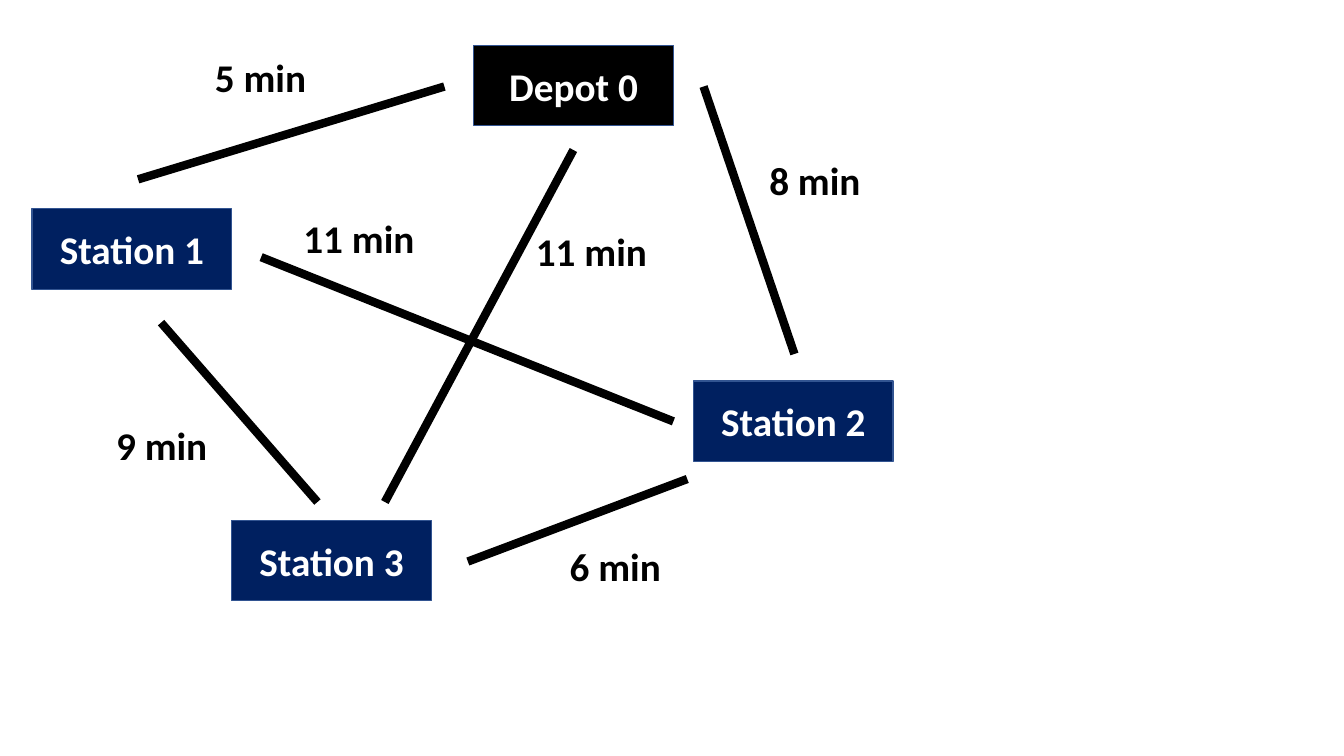
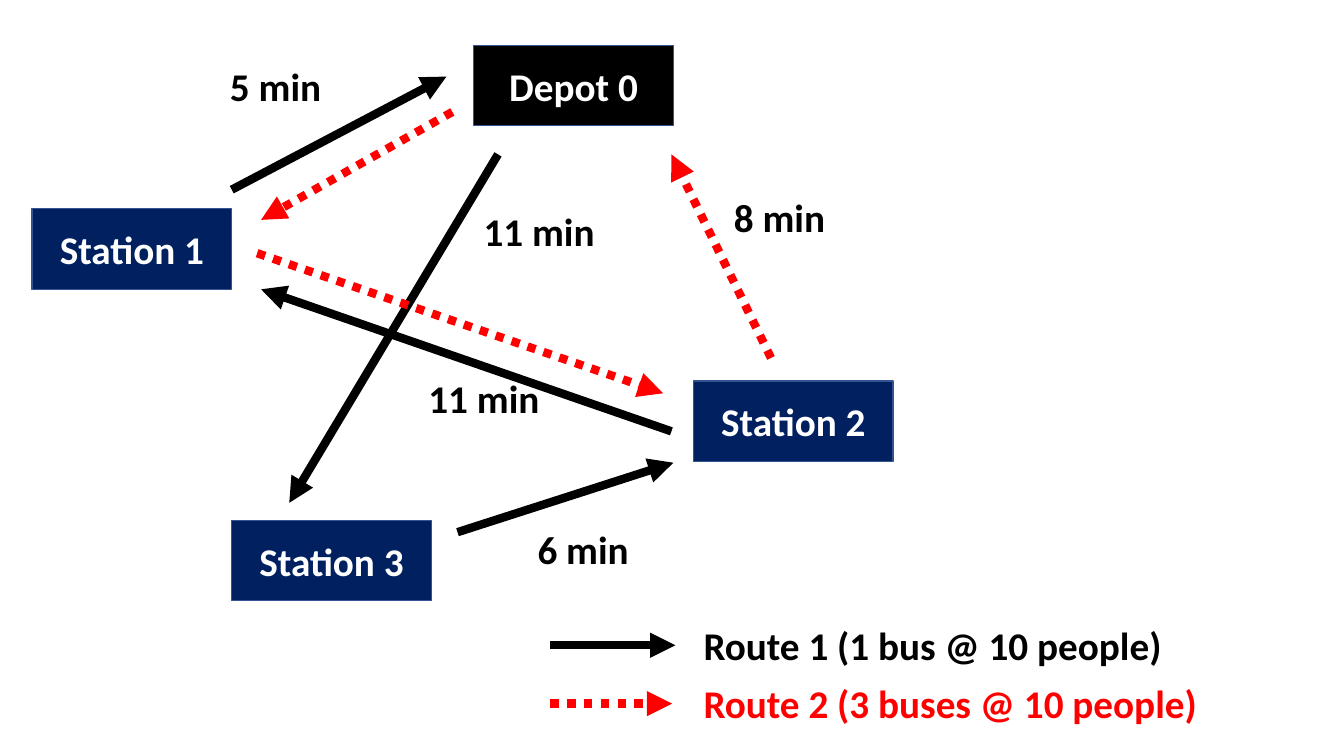
from lxml.etree import SubElement
from pptx import Presentation
from pptx.dml.color import RGBColor
from pptx.enum.dml import MSO_LINE
from pptx.enum.shapes import MSO_CONNECTOR, MSO_SHAPE
from pptx.enum.text import MSO_ANCHOR, MSO_AUTO_SIZE, PP_ALIGN
from pptx.oxml.ns import qn
from pptx.util import Cm, Pt

# Shared style; all lengths are in centimetres
BLACK, WHITE, NAVY, RED, BORDER = "000000", "FFFFFF", "002060", "FF0000", "325491"
STOP_WIDTH, STOP_HEIGHT = 5.03, 2.03
LABEL_HEIGHT = 1.45
STOPS = [
    ("Station 1", 0.81, 5.26, NAVY),
    ("Station 2", 17.48, 9.6, NAVY),
    ("Station 3", 5.84, 13.11, NAVY),
    ("Depot 0", 11.94, 1.14, BLACK),
]

# Road network: ends of each road, then its travel time
roads = [
    (6.58, 6.48, 16.97, 10.62),
    (17.32, 12.07, 11.79, 14.15),
    (4.06, 8.13, 8, 12.65),
    (17.73, 2.18, 20.02, 8.92),
    (11.2, 2.18, 3.48, 4.52),
    (14.45, 3.78, 9.7, 12.65),
]
road_times = [
    ("8 min", 19.1, 3.81),
    ("6 min", 14.07, 13.54),
    ("9 min", 2.64, 10.49),
    ("5 min", 5.13, 1.22),
    ("11 min", 13.23, 5.61),
    ("11 min", 7.37, 5.28),
]

# Bus routes: legs in driving order, then the legend sample
route_1 = [
    (12.55, 3.89, 7.29, 12.67),
    (11.53, 13.41, 16.97, 11.66),
    (16.92, 10.87, 6.58, 7.29),
    (5.84, 4.78, 11.25, 1.93),
    (13.87, 16.26, 17.02, 16.26),
]
route_2 = [
    (11.4, 2.82, 6.58, 5.54),
    (6.48, 6.38, 16.71, 9.91),
    (19.43, 9.02, 16.92, 3.89),
    (13.87, 17.73, 16.94, 17.73),
]
route_times = [
    ("5 min", 5.51, 1.45),
    ("11 min", 10.52, 9.32),
    ("8 min", 18.21, 4.75),
    ("11 min", 11.91, 5.11),
    ("6 min", 13.26, 13.11),
]
legend = [
    ("Route 1 (1 bus @ 10 people)", 15.54, 12.19, BLACK),
    ("Route 2 (3 buses @ 10 people)", 16.99, 13.08, RED),
]


def rgb(hex_color):
    return RGBColor.from_string(hex_color)


def write(shape, text, color, alignment):
    shape.text_frame.text = text
    paragraph = shape.text_frame.paragraphs[0]
    paragraph.alignment = alignment
    font = paragraph.runs[0].font
    font.name, font.size, font.bold = "Calibri", Pt(28), True
    font.color.rgb = rgb(color)


presentation = Presentation()
presentation.slide_width, presentation.slide_height = Cm(33.87), Cm(19.05)

# Each diagram: groups of lines (colour, has arrow, legs), times, legend
diagrams = [
    ([(BLACK, False, roads)], road_times, []),
    ([(BLACK, True, route_1), (RED, True, route_2)], route_times, legend),
]

for line_groups, times, legend_entries in diagrams:
    slide = presentation.slides.add_slide(presentation.slide_layouts[6])

    # Depot and stations
    for name, left, top, color in STOPS:
        stop = slide.shapes.add_shape(
            MSO_SHAPE.RECTANGLE, Cm(left), Cm(top), Cm(STOP_WIDTH), Cm(STOP_HEIGHT))
        stop.shadow.inherit = False
        stop.fill.solid()
        stop.fill.fore_color.rgb = rgb(color)
        stop.line.color.rgb = rgb(BORDER)
        stop.line.width = Pt(1)
        stop.text_frame.vertical_anchor = MSO_ANCHOR.MIDDLE
        write(stop, name, WHITE, PP_ALIGN.CENTER)

    # Roads or route legs
    for color, has_arrow, legs in line_groups:
        for ends in legs:
            leg = slide.shapes.add_connector(
                MSO_CONNECTOR.STRAIGHT, *[Cm(end) for end in ends])
            leg.line.color.rgb = rgb(color)
            leg.line.width = Pt(6)
            if color == RED:
                leg.line.dash_style = MSO_LINE.ROUND_DOT
            if has_arrow:
                SubElement(leg.line._get_or_add_ln(), qn("a:tailEnd"), type="triangle")
            SubElement(leg._element.spPr, qn("a:effectLst"))

    # Travel times and legend
    labels = [
        (text, left, top, 3.35 if text == "11 min" else 2.87, BLACK, PP_ALIGN.CENTER)
        for text, left, top in times
    ] + [
        (text, 17.48, top, width, color, PP_ALIGN.LEFT)
        for text, top, width, color in legend_entries
    ]
    for text, left, top, width, color, alignment in labels:
        label = slide.shapes.add_textbox(Cm(left), Cm(top), Cm(width), Cm(LABEL_HEIGHT))
        label.text_frame.word_wrap = False
        label.text_frame.auto_size = MSO_AUTO_SIZE.SHAPE_TO_FIT_TEXT
        write(label, text, color, alignment)

presentation.save("out.pptx")
